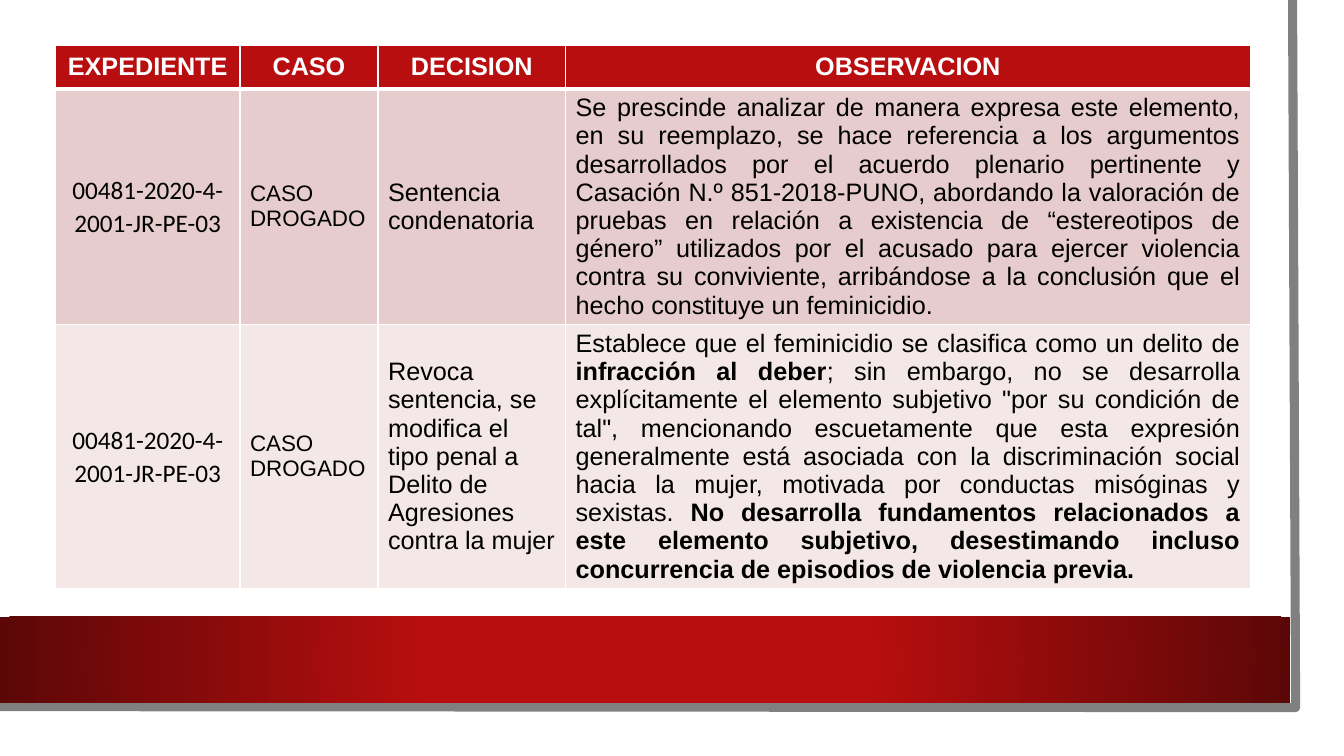
from dataclasses import dataclass

from lxml.etree import SubElement
from pptx import Presentation
from pptx.dml.color import RGBColor as RGB
from pptx.enum.shapes import MSO_SHAPE as Shape
from pptx.enum.text import MSO_ANCHOR as Anchor, PP_ALIGN as Align
from pptx.oxml import parse_xml
from pptx.oxml.ns import nsdecls, qn
from pptx.util import Pt

PX = 9144


@dataclass(frozen=True)
class Theme:
    """Colours, fonts and type sizes of the slide."""
    white: str = "FFFFFF"
    black: str = "000000"
    red: str = "B80E0F"
    dark: str = "5C0707"
    grey: str = "808080"
    bands: tuple = ("E6CCCC", "F3E7E7")
    sans: str = "Arial"
    code: str = "Calibri"
    body: int = 18
    small: int = 16


THEME = Theme()
COLS = (183, 137, 186, 679)
ROWS = (43, 234, 262)
HEADS = ("EXPEDIENTE", "CASO", "DECISION", "OBSERVACION")
FILE = "00481-2020-4-2001-JR-PE-03"
CASE = "CASO DROGADO"
CASES = (
    (FILE, CASE, "Sentencia condenatoria", (
        "Se prescinde analizar de manera expresa este elemento, en su reemplazo, "
        "se hace referencia a los argumentos desarrollados por el acuerdo plenario "
        "pertinente y Casación N.º 851-2018-PUNO, abordando la valoración de pruebas "
        "en relación a existencia de “estereotipos de género” utilizados por el "
        "acusado para ejercer violencia contra su conviviente, arribándose a la "
        "conclusión que el hecho constituye un feminicidio.",)),
    (FILE, CASE, "Revoca sentencia, se modifica el tipo penal a Delito de "
     "Agresiones contra la mujer", (
        "Establece que el feminicidio se clasifica como un delito de ",
        "infracción al deber",
        "; sin embargo, no se desarrolla explícitamente el elemento subjetivo "
        "\"por su condición de tal\", mencionando escuetamente que esta expresión "
        "generalmente está asociada con la discriminación social hacia la mujer, "
        "motivada por conductas misóginas y sexistas. ",
        "No desarrolla fundamentos relacionados a este elemento subjetivo, "
        "desestimando incluso concurrencia de episodios de violencia previa.")),
)


def block(slide, box, color):
    """Add a plain rectangle without line or shadow."""
    shape = slide.shapes.add_shape(Shape.RECTANGLE, *(n * PX for n in box))
    shape.shadow.inherit = False
    shape.fill.solid()
    shape.fill.fore_color.rgb = RGB.from_string(color)
    shape.line.fill.background()
    return shape


def frame(slide, box):
    """Draw the white sheet and the grey edge at its right and bottom."""
    x, y, w, h = box
    block(slide, box, THEME.white)
    pen = slide.shapes.build_freeform(x + w - 28, y, scale=PX)
    pen.add_line_segments(((x + w - 25, y + h - 25), (x - 3, y + h - 26)), close=False)
    edge = pen.convert_to_shape()
    edge.shadow.inherit = False
    edge.fill.background()
    edge.line.color.rgb = RGB.from_string(THEME.grey)
    edge.line.width = Pt(6.5)


def band(slide, box):
    """Draw the red band, darker towards its ends."""
    shape = block(slide, box, THEME.red)
    stops = "".join(
        f'<a:gs pos="{pos}"><a:srgbClr val="{color}"/></a:gs>'
        for pos, color in ((0, THEME.red), (34000, THEME.red), (100000, THEME.dark)))
    grad = parse_xml(
        f'<a:gradFill {nsdecls("a")} rotWithShape="1"><a:gsLst>{stops}</a:gsLst>'
        '<a:path path="circle"><a:fillToRect l="50000" t="50000" r="50000" b="50000"/>'
        '</a:path></a:gradFill>')
    props = shape.element.spPr
    props.replace(props.find(qn("a:solidFill")), grad)


def paint(cell, color, base):
    """Fill a cell and give it white borders, the lower one base points wide."""
    cell.fill.solid()
    cell.fill.fore_color.rgb = RGB.from_string(color)
    props = cell._tc.get_or_add_tcPr()
    for spot, (side, width) in enumerate(zip("LRTB", (1, 1, 1, base))):
        line = SubElement(props, qn(f"a:ln{side}"), w=str(Pt(width)))
        fill = SubElement(line, qn("a:solidFill"))
        SubElement(fill, qn("a:srgbClr"), val=THEME.white)
        props.insert(spot, line)


def write(cell, parts, align, size=THEME.body, font=THEME.sans, color=THEME.black, bold=False):
    """Write the parts into a cell, every second one with its weight switched."""
    cell.vertical_anchor = Anchor.MIDDLE
    para = cell.text_frame.paragraphs[0]
    para.alignment = align
    for spot, part in enumerate(parts):
        run = para.add_run()
        run.text = part
        run.font.size = Pt(size)
        run.font.name = font
        run.font.bold = bold != (spot % 2 == 1)
        run.font.color.rgb = RGB.from_string(color)
    return para


def code(cell, text):
    """Write a file number with tight margins and loose lines."""
    para = write(cell, (text,), Align.CENTER, font=THEME.code)
    para.line_spacing = 1.07
    para.space_after = Pt(8)
    cell.margin_left = cell.margin_right = 7 * PX
    cell.margin_top = cell.margin_bottom = 0


def grid(slide, left, top):
    """Place the table of cases at the given corner."""
    box = (left, top, sum(COLS), sum(ROWS))
    table = slide.shapes.add_table(len(ROWS), len(COLS), *(n * PX for n in box)).table
    for col, width in zip(table.columns, COLS):
        col.width = width * PX
    for row, height in zip(table.rows, ROWS):
        row.height = height * PX
    for cell, head in zip(table.rows[0].cells, HEADS):
        write(cell, (head,), Align.CENTER, color=THEME.white, bold=True)
        paint(cell, THEME.red, 3)
    for spot, (number, name, ruling, notes) in enumerate(CASES):
        cells = list(table.rows[spot + 1].cells)
        code(cells[0], number)
        write(cells[1], (name,), Align.LEFT, size=THEME.small)
        write(cells[2], (ruling,), Align.LEFT)
        write(cells[3], notes, Align.JUSTIFY)
        for cell in cells:
            paint(cell, THEME.bands[spot], 1)


def main():
    """Build the slide and save it."""
    deck = Presentation()
    deck.slide_width, deck.slide_height = 1333 * PX, 750 * PX
    slide = deck.slides.add_slide(deck.slide_layouts[6])
    frame(slide, (0, 0, 1310, 727))
    band(slide, (0, 612, 1280, 85))
    grid(slide, 55, 45)
    deck.save("out.pptx")


if __name__ == "__main__":
    main()
